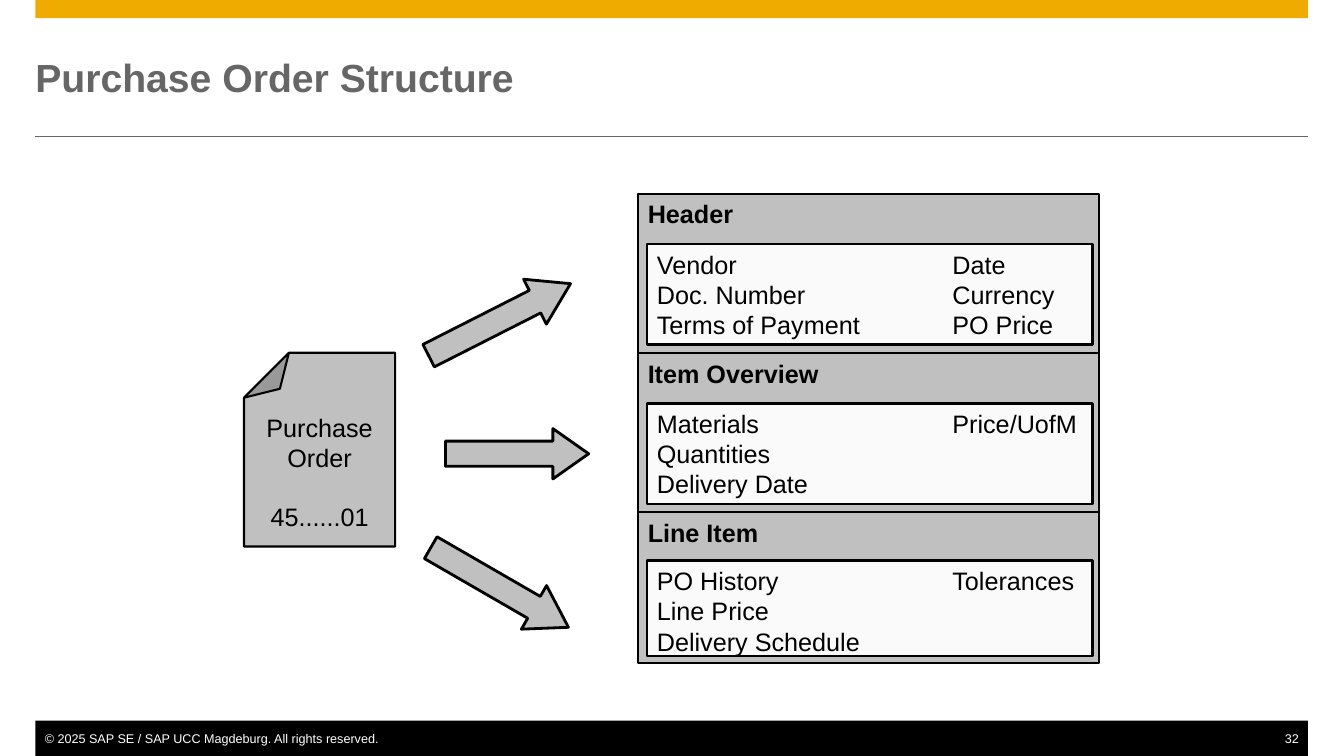
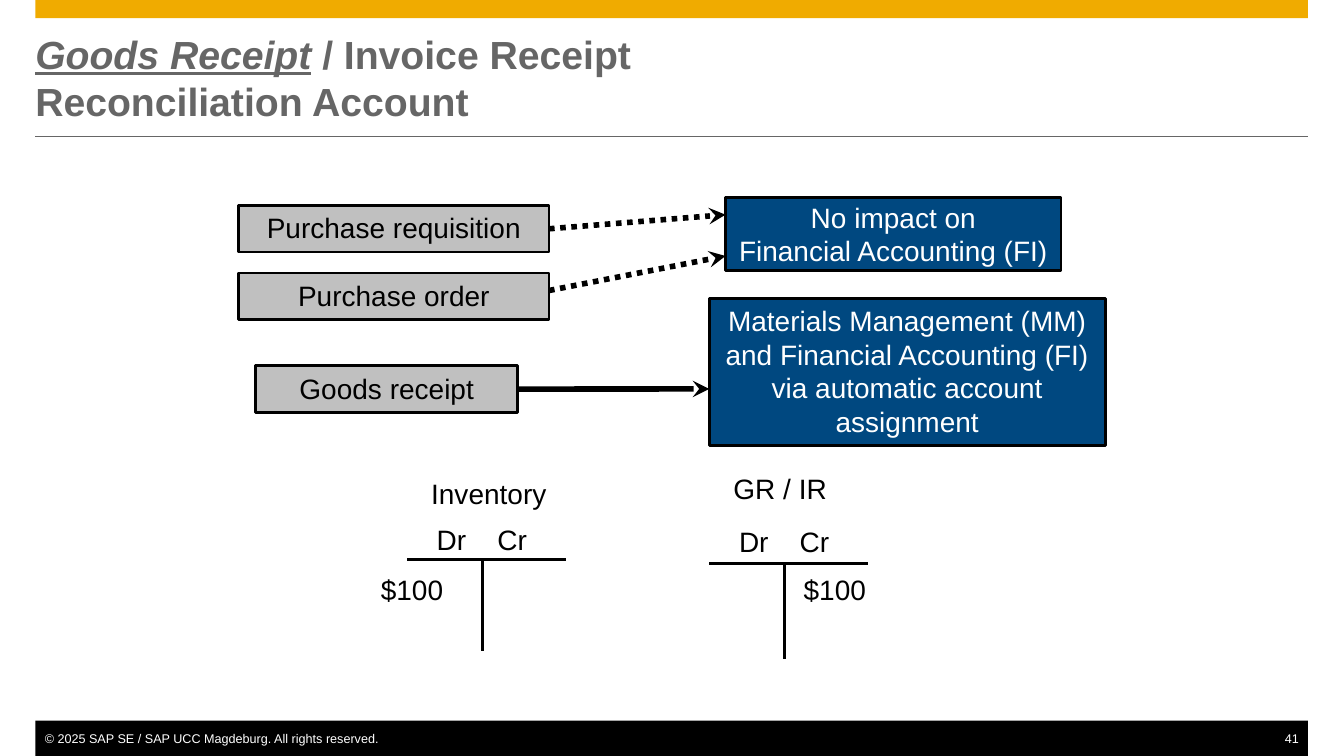
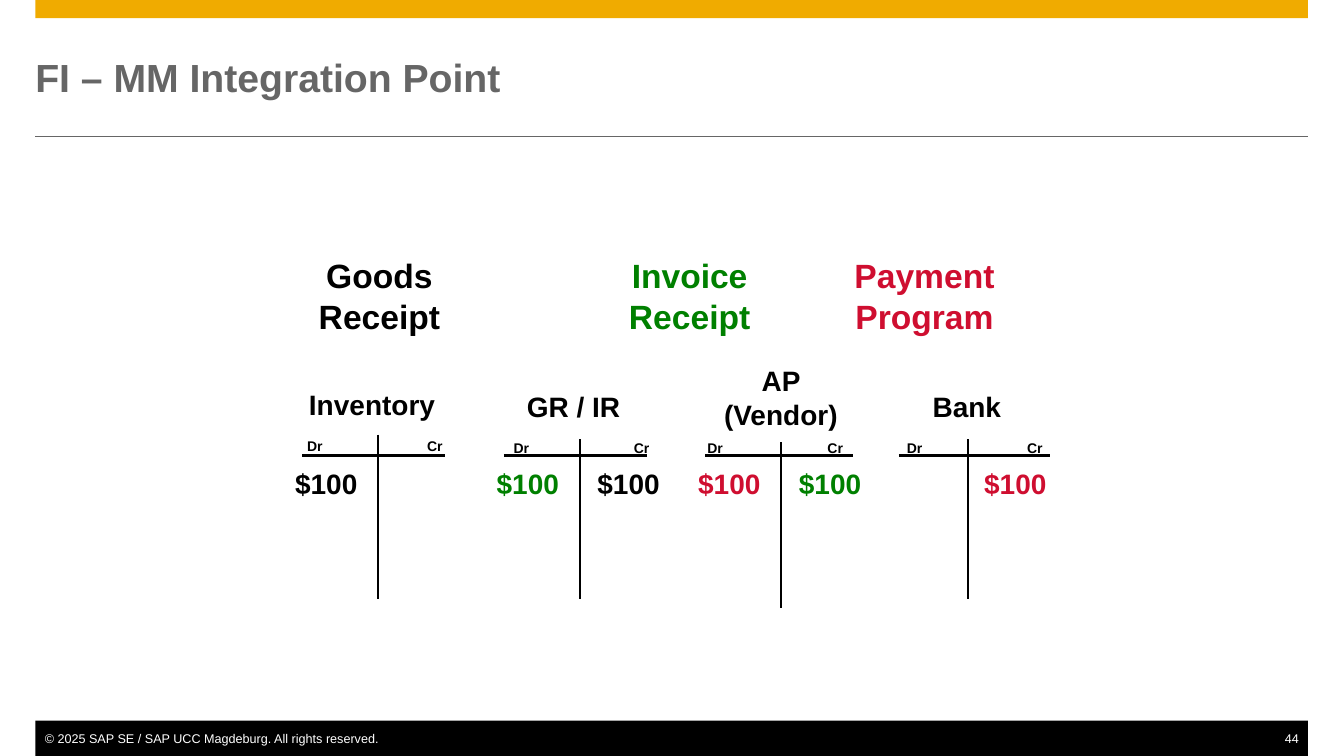
"""Builds three slides on purchase orders and their accounting entries."""
from lxml import etree
from pptx import Presentation
from pptx.dml.color import RGBColor
from pptx.enum import dml, shapes, text
from pptx.oxml.ns import qn
from pptx.util import Cm, Pt

GOLD = RGBColor(0xF0, 0xAB, 0x00)
DARK_GREY = RGBColor(0x66, 0x66, 0x66)
GREY = RGBColor(0xC0, 0xC0, 0xC0)
BLUE = RGBColor(0x00, 0x48, 0x80)
GREEN = RGBColor(0x00, 0x80, 0x00)
RED = RGBColor(0xCF, 0x0E, 0x30)
BLACK = RGBColor(0, 0, 0)
WHITE = RGBColor(0xFF, 0xFF, 0xFF)

RECT = shapes.MSO_SHAPE.RECTANGLE
ARROW = shapes.MSO_SHAPE.RIGHT_ARROW
LEFT, CENTER, RIGHT = text.PP_ALIGN.LEFT, text.PP_ALIGN.CENTER, text.PP_ALIGN.RIGHT
TOP, MIDDLE = text.MSO_ANCHOR.TOP, text.MSO_ANCHOR.MIDDLE
MARGINS = (0.25, 0.13, 0.25, 0.13)
NO_MARGINS = (0, 0, 0, 0)
TITLE_FONT = {"name": "Arial", "size": Pt(28), "bold": True}


def add_block(slide, kind, box, lines=(), fill=None, border=None, color=BLACK, size=18,
              bold=False, align=LEFT, anchor=TOP, margins=MARGINS, tab=None):
    """Add a text box, or a shape of the given kind, with one paragraph per line."""
    box = [Cm(length) for length in box]
    if kind is None:
        block = slide.shapes.add_textbox(*box)
    else:
        block = slide.shapes.add_shape(kind, *box)
        block.shadow.inherit = False
        block.fill.solid()
        block.fill.fore_color.rgb = fill
        if border:
            block.line.color.rgb = BLACK
            block.line.width = Pt(border)
        else:
            block.line.fill.background()
    frame = block.text_frame
    frame.word_wrap = True
    frame.vertical_anchor = anchor
    for side, margin in zip(("left", "top", "right", "bottom"), margins):
        setattr(frame, f"margin_{side}", Cm(margin))
    for index, line in enumerate(lines):
        paragraph = frame.add_paragraph() if index else frame.paragraphs[0]
        paragraph.alignment = align
        if tab:
            stops = etree.SubElement(paragraph._p.get_or_add_pPr(), qn("a:tabLst"))
            etree.SubElement(stops, qn("a:tab"), pos=str(int(Cm(tab))), algn="l")
        run = paragraph.add_run()
        run.text = line
        for name, value in {"name": "Arial", "size": Pt(size), "bold": bold}.items():
            setattr(run.font, name, value)
        run.font.color.rgb = color
    return block


def add_line(slide, start, end, width=2, color=BLACK, dash=None, arrow=False):
    """Add a straight line between two points."""
    ends = [Cm(length) for length in (*start, *end)]
    line = slide.shapes.add_connector(shapes.MSO_CONNECTOR.STRAIGHT, *ends)
    line.line.color.rgb = color
    line.line.width = Pt(width)
    if dash:
        line.line.dash_style = dash
    properties = line.element.spPr
    if arrow:
        etree.SubElement(properties.find(qn("a:ln")), qn("a:tailEnd"), type="stealth")
    etree.SubElement(properties, qn("a:effectLst"))
    return line


prs = Presentation()
prs.slide_width, prs.slide_height = Cm(33.88), Cm(19.05)
layout = prs.slide_layouts[5]
for placeholder in list(layout.placeholders):
    if placeholder.placeholder_format.type != shapes.PP_PLACEHOLDER.TITLE:
        placeholder.element.getparent().remove(placeholder.element)

PAGES = [
    (32, [[("Purchase Order Structure", {})]]),
    (41, [[("Goods Receipt", {"italic": True, "underline": True}), (" / Invoice Receipt", {})],
          [("Reconciliation Account", {})]]),
    (44, [[("FI – MM Integration Point", {})]]),
]
slides = [prs.slides.add_slide(layout) for page in PAGES]

shared = [
    add_block(slides[0], RECT, (0.89, 0, 32.08, 0.46), fill=GOLD),
    add_line(slides[0], (0.89, 3.43), (32.97, 3.43), 0.5, DARK_GREY),
    add_block(slides[0], RECT, (0.89, 18.16, 32.08, 0.89), fill=BLACK),
    add_block(slides[0], None, (1.13, 18.42, 12, 0.38),
              ["© 2025 SAP SE / SAP UCC Magdeburg. All rights reserved."],
              color=WHITE, size=9, margins=NO_MARGINS),
]
for part in shared:
    layout.shapes.element.append(part.element)

for slide, (number, title_lines) in zip(slides, PAGES):
    title = slide.shapes.title
    title.left, title.top, title.width, title.height = Cm(0.89), Cm(0.89), Cm(32.08), Cm(2.11)
    frame = title.text_frame
    frame.auto_size = text.MSO_AUTO_SIZE.NONE
    frame.vertical_anchor = MIDDLE
    for side in ("left", "top", "right", "bottom"):
        setattr(frame, f"margin_{side}", 0)
    for index, pieces in enumerate(title_lines):
        paragraph = frame.add_paragraph() if index else frame.paragraphs[0]
        paragraph.alignment = LEFT
        for wording, emphasis in pieces:
            run = paragraph.add_run()
            run.text = wording
            for name, value in {**TITLE_FONT, **emphasis}.items():
                setattr(run.font, name, value)
            run.font.color.rgb = DARK_GREY
    add_block(slide, None, (31.7, 18.42, 1.04, 0.38), [str(number)],
              color=WHITE, size=9, align=RIGHT, margins=NO_MARGINS)

structure, receipt, integration = slides

SECTIONS = [
    ("Header", 4.88, 4.01, 6.15, 2.54,
     ["Vendor\tDate", "Doc. Number\tCurrency", "Terms of Payment\tPO Price"]),
    ("Item Overview", 8.89, 4.01, 10.16, 2.54,
     ["Materials\tPrice/UofM", "Quantities", "Delivery Date"]),
    ("Line Item", 12.9, 3.81, 14.12, 2.41,
     ["PO History\tTolerances", "Line Price", "Delivery Schedule"]),
]
for heading, top, height, fields_top, fields_height, fields in SECTIONS:
    add_block(structure, RECT, (16.08, top, 11.63, height), [heading],
              fill=GREY, border=1.5, bold=True)
    panel = add_block(structure, RECT, (16.31, fields_top, 11.23, fields_height), fields,
                      fill=WHITE, border=2, tab=7.45)
    panel_color = panel.element.spPr.find(".//" + qn("a:srgbClr"))
    etree.SubElement(panel_color, qn("a:alpha"), val="92000")

document = add_block(structure, shapes.MSO_SHAPE.FOLDED_CORNER, (6.15, 8.89, 3.81, 4.88),
                     ["Purchase", "Order", "45......01"],
                     fill=GREY, border=1.5, align=CENTER, anchor=MIDDLE)
document.rotation = 180
fold = document.element.spPr.find(".//" + qn("a:avLst"))
etree.SubElement(fold, qn("a:gd"), name="adj", fmla="val 29700")
document.text_frame._txBody.bodyPr.set("rot", "10800000")
document.text_frame.paragraphs[2].space_before = Pt(20.7)

for left, top, width, angle, head in [(10.59, 7.42, 4.01, 333.1, 0.79),
                                      (11.23, 10.8, 3.61, 0, 0.71),
                                      (10.59, 14.17, 4.01, 30, 0.79)]:
    arrow = add_block(structure, ARROW, (left, top, width, 1.27), fill=GREY, border=2)
    arrow.rotation = angle
    arrow.adjustments[1] = head

requisition, order, goods = [
    add_block(receipt, RECT, (left, top, width, 1.17), [step],
              fill=GREY, border=2, size=20, align=CENTER)
    for step, left, top, width in [("Purchase requisition", 6.02, 5.18, 7.82),
                                   ("Purchase order", 6.02, 6.88, 7.82),
                                   ("Goods receipt", 6.45, 9.22, 6.6)]
]
for box, anchor, effect in [
    ((18.29, 4.98, 8.46, 1.83), MIDDLE, ["No impact on", "Financial Accounting (FI)"]),
    ((17.88, 7.52, 9.98, 3.71), TOP, ["Materials Management (MM) and Financial Accounting (FI)",
                                      "via automatic account assignment"]),
]:
    add_block(receipt, RECT, box, effect, fill=BLUE, border=2, color=WHITE, size=20,
              align=CENTER, anchor=anchor)

DOTS = dml.MSO_LINE.ROUND_DOT
requisition_link = add_line(receipt, (13.84, 5.77), (18.29, 5.41), 4, dash=DOTS, arrow=True)
requisition_link.begin_connect(requisition, 3)
add_line(receipt, (13.84, 7.32), (18.29, 6.45), 4, dash=DOTS, arrow=True)
goods_link = add_line(receipt, (13.05, 9.8), (17.88, 9.8), 4, arrow=True)
goods_link.begin_connect(goods, 3)

for account, left, bar, bottom, label_top, sides_top, amount_shift in [
    ("Inventory", 10.26, 14.1, 16.41, 11.89, 13.03, -0.91),
    ("GR / IR", 17.88, 14.2, 16.61, 11.76, 13.08, 2.13),
]:
    add_line(receipt, (left, bar), (left + 4.01, bar))
    add_line(receipt, (left + 1.9, bar), (left + 1.9, bottom))
    for wording, shift, top in [(account, 0.36, label_top), ("Dr\tCr", 0.5, sides_top),
                                ("$100", amount_shift, 14.3)]:
        add_block(receipt, None, (left + shift, top, 4, 1.09), [wording], size=20, tab=1.53)

for event, left, color in [("Goods Receipt", 7.42, BLACK), ("Invoice Receipt", 15.24, GREEN),
                           ("Payment Program", 21.16, RED)]:
    add_block(integration, None, (left, 6.3, 4.29, 2.29), [event],
              color=color, size=24, bold=True, align=CENTER)

ACCOUNTS = [
    ("Inventory", (7.54, 9.63), LEFT, (7.62, 3.61), (9.53, 10.95, 15.09), (7.49, 10.9),
     [(7.19, BLACK)]),
    ("GR / IR", (13.03, 9.68), LEFT, (12.7, 3.61), (14.62, 11.07, 15.09), (12.7, 10.95),
     [(12.27, GREEN), (14.81, BLACK)]),
    ("AP (Vendor)", (17.78, 9.04), CENTER, (17.78, 3.73), (19.69, 11.15, 15.32), (17.58, 10.95),
     [(17.35, RED), (19.89, GREEN)]),
    ("Bank", (23.26, 9.68), LEFT, (22.66, 3.81), (24.4, 11.07, 15.09), (22.61, 10.95),
     [(24.56, RED)]),
]
for account, label, align, (left, width), (stem, top, bottom), sides, amounts in ACCOUNTS:
    add_line(integration, (left, 11.48), (left + width, 11.48))
    add_line(integration, (stem, top), (stem, bottom))
    add_block(integration, None, (*label, 3.81, 1.09), [account],
              size=20, bold=True, align=align)
    add_block(integration, None, (*sides, 4.06, 0.69), ["Dr\tCr"], size=10, bold=True, tab=3.03)
    for amount_left, color in amounts:
        add_block(integration, None, (amount_left, 11.63, 2.11, 1.09), ["$100"],
                  color=color, size=20, bold=True)

prs.save("out.pptx")
